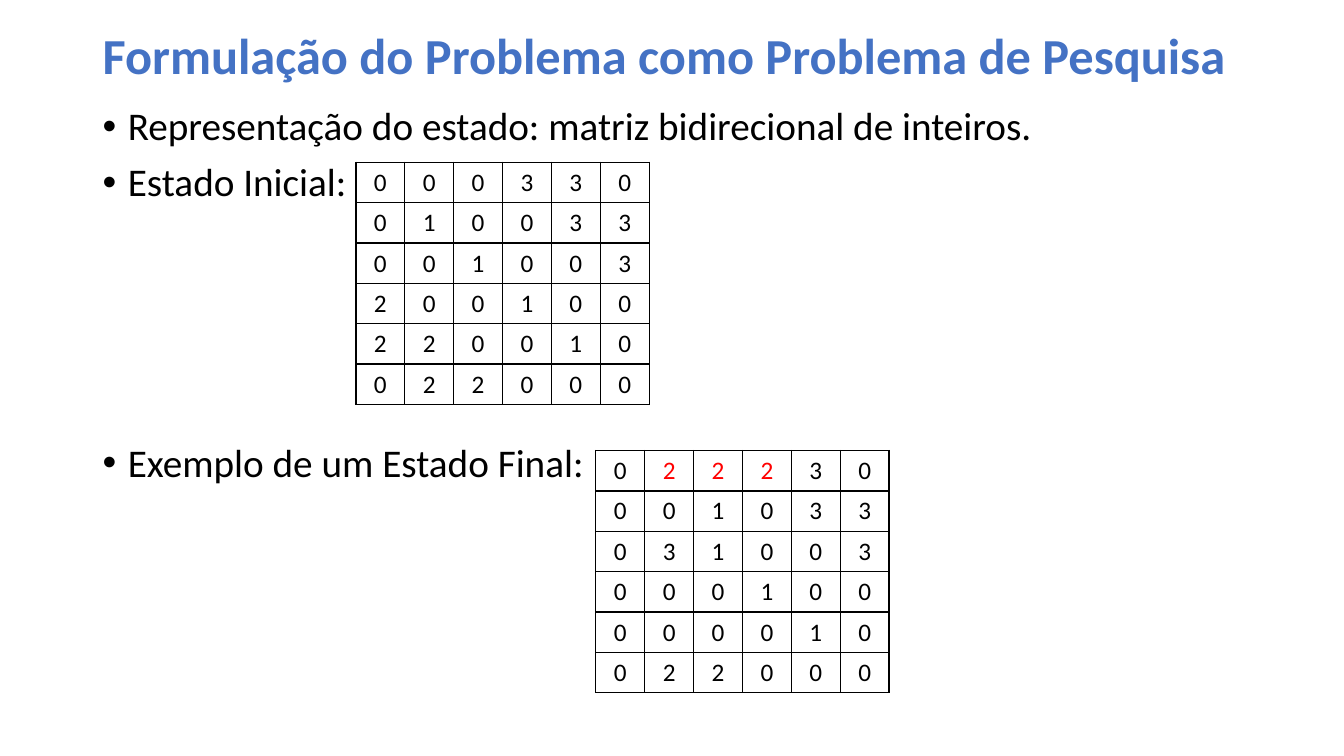
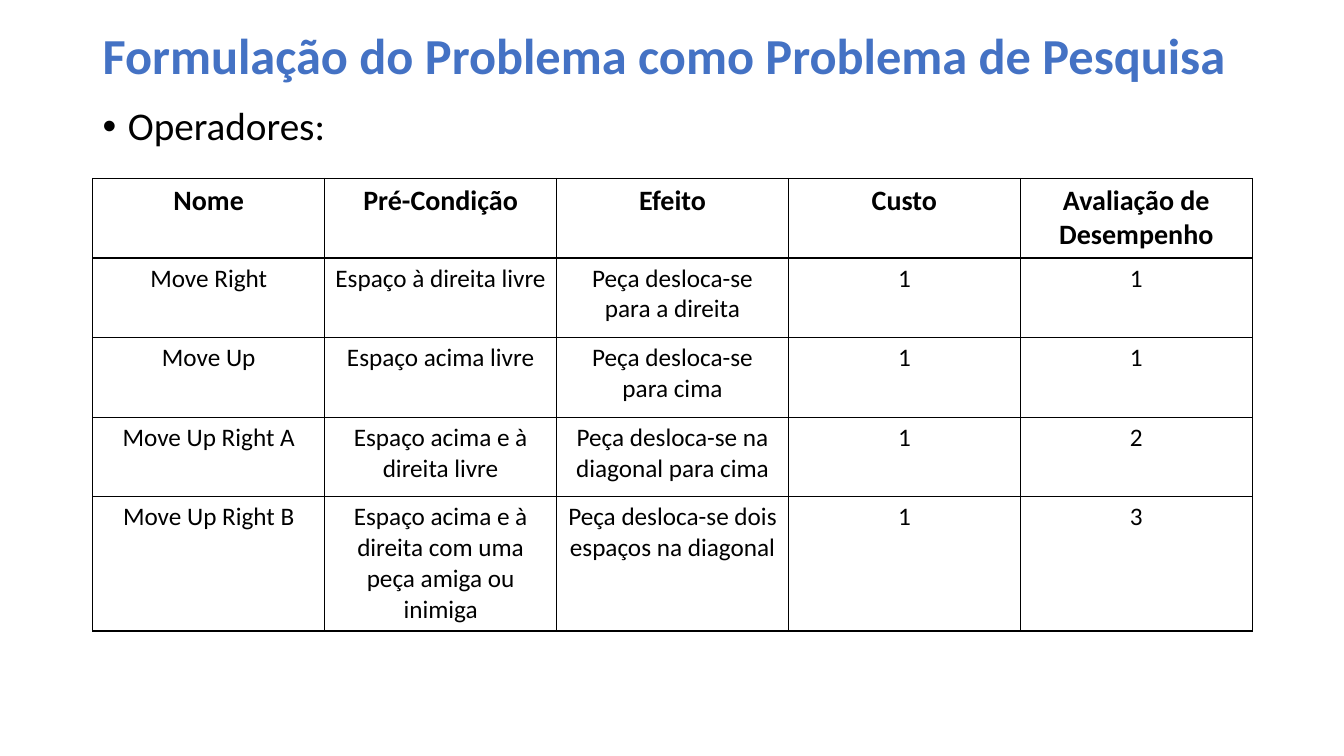
import pptx
import pptx.dml.color
import pptx.enum.text
import pptx.oxml.ns
import pptx.util
from lxml import etree

Inches = pptx.util.Inches
Pt = pptx.util.Pt
RGBColor = pptx.dml.color.RGBColor
PP_ALIGN = pptx.enum.text.PP_ALIGN
MSO_ANCHOR = pptx.enum.text.MSO_ANCHOR
qn = pptx.oxml.ns.qn

BLUE = RGBColor(0x44, 0x72, 0xC4)
BLACK = RGBColor(0, 0, 0)
RED = RGBColor(0xFF, 0, 0)

FONT = "Calibri"
TITLE = "Formulação do Problema como Problema de Pesquisa"
LEFT, WIDTH = 0.92, 11.5
LINE_SPACING = 0.9
GAP = 10  # points before a bullet

# Board contents, one string of digits per row
INITIAL_STATE = ["000330", "010033", "001003", "200100", "220010", "022000"]
FINAL_STATE = ["022230", "001033", "031003", "000100", "000010", "022000"]
MOVED_PIECE = {(0, 1), (0, 2), (0, 3)}

OPERATORS = [
    ["Nome", "Pré-Condição", "Efeito", "Custo", "Avaliação de Desempenho"],
    ["Move Right", "Espaço à direita livre",
     "Peça desloca-se para a direita", "1", "1"],
    ["Move Up", "Espaço acima livre", "Peça desloca-se para cima", "1", "1"],
    ["Move Up Right A", "Espaço acima e à direita livre",
     "Peça desloca-se na diagonal para cima", "1", "2"],
    ["Move Up Right B",
     "Espaço acima e à direita com uma peça amiga ou inimiga",
     "Peça desloca-se dois espaços na diagonal", "1", "3"],
]


def write(para, text, size=18, color=BLACK, bold=False, align=None):
    """Put formatted text in a paragraph."""
    para.alignment = align
    span = para.add_run()
    span.text = text
    span.font.name = FONT
    span.font.size = Pt(size)
    span.font.bold = bold
    span.font.color.rgb = color


def add_borders(cell, color=BLACK, width=1):
    """Draw a line on all four sides of a table cell."""
    properties = cell._tc.get_or_add_tcPr()
    for side in ("a:lnL", "a:lnR", "a:lnT", "a:lnB"):
        line = etree.SubElement(properties, qn(side), w=str(Pt(width)))
        fill = etree.SubElement(line, qn("a:solidFill"))
        etree.SubElement(fill, qn("a:srgbClr"), val=str(color))


class Deck:
    """The presentation, its style and the current page."""

    def __init__(self):
        self.deck = pptx.Presentation()
        self.deck.slide_width = Inches(13.33)
        self.deck.slide_height = Inches(7.5)
        self.page = None

    def add_page(self):
        self.page = self.deck.slides.add_slide(self.deck.slide_layouts[6])
        frame = self.add_text(-0.2, 1.55)
        frame.vertical_anchor = MSO_ANCHOR.MIDDLE
        frame.paragraphs[0].line_spacing = LINE_SPACING
        write(frame.paragraphs[0], TITLE, size=36, color=BLUE, bold=True)

    def add_text(self, top, height):
        box = self.page.shapes.add_textbox(
            Inches(LEFT), Inches(top), Inches(WIDTH), Inches(height))
        box.text_frame.word_wrap = True
        return box.text_frame

    def add_bullets(self, items):
        """Add bullets from (text, points before) pairs."""
        frame = self.add_text(1.01, 6.35)
        for index, (text, before) in enumerate(items):
            para = frame.add_paragraph() if index else frame.paragraphs[0]
            para.line_spacing = LINE_SPACING
            para.space_before = Pt(before)
            properties = para._p.get_or_add_pPr()
            properties.set("marL", str(Inches(0.25)))
            properties.set("indent", str(Inches(-0.25)))
            etree.SubElement(properties, qn("a:buFont"), typeface="Arial")
            etree.SubElement(properties, qn("a:buChar"), char="•")
            write(para, text, size=28)

    def add_grid(self, rows, left, top, column_width, row_heights, style):
        """Add a ruled table; style(row, column) gives the text format."""
        table = self.page.shapes.add_table(
            len(rows), len(rows[0]), Inches(left), Inches(top),
            Inches(column_width * len(rows[0])),
            Inches(sum(row_heights))).table
        table.first_row = table.horz_banding = False
        for column in table.columns:
            column.width = Inches(column_width)
        for r, texts in enumerate(rows):
            table.rows[r].height = Inches(row_heights[r])
            for c, text in enumerate(texts):
                cell = table.cell(r, c)
                add_borders(cell)
                cell.fill.background()
                write(cell.text_frame.paragraphs[0], text,
                      align=PP_ALIGN.CENTER, **style(r, c))

    def add_board(self, rows, left, top, marked=()):
        self.add_grid(
            rows, left, top, 0.485, [0.4] * len(rows),
            lambda r, c: {"color": RED if (r, c) in marked else BLACK})


def main():
    show = Deck()

    # State representation
    show.add_page()
    show.add_bullets([
        ("Representação do estado: matriz bidirecional de inteiros.", GAP),
        ("Estado Inicial:", GAP),
        ("Exemplo de um Estado Final:", 170),
    ])
    show.add_board(INITIAL_STATE, 3.53, 1.61)
    show.add_board(FINAL_STATE, 5.91, 4.47, marked=MOVED_PIECE)

    # Operators
    show.add_page()
    show.add_bullets([("Operadores:", GAP)])
    show.add_grid(
        OPERATORS, LEFT, 1.77, WIDTH / 5, [0.79] * 4 + [1.33],
        lambda r, c: {} if r else {"size": 20, "bold": True})

    show.deck.save("out.pptx")


if __name__ == "__main__":
    main()
